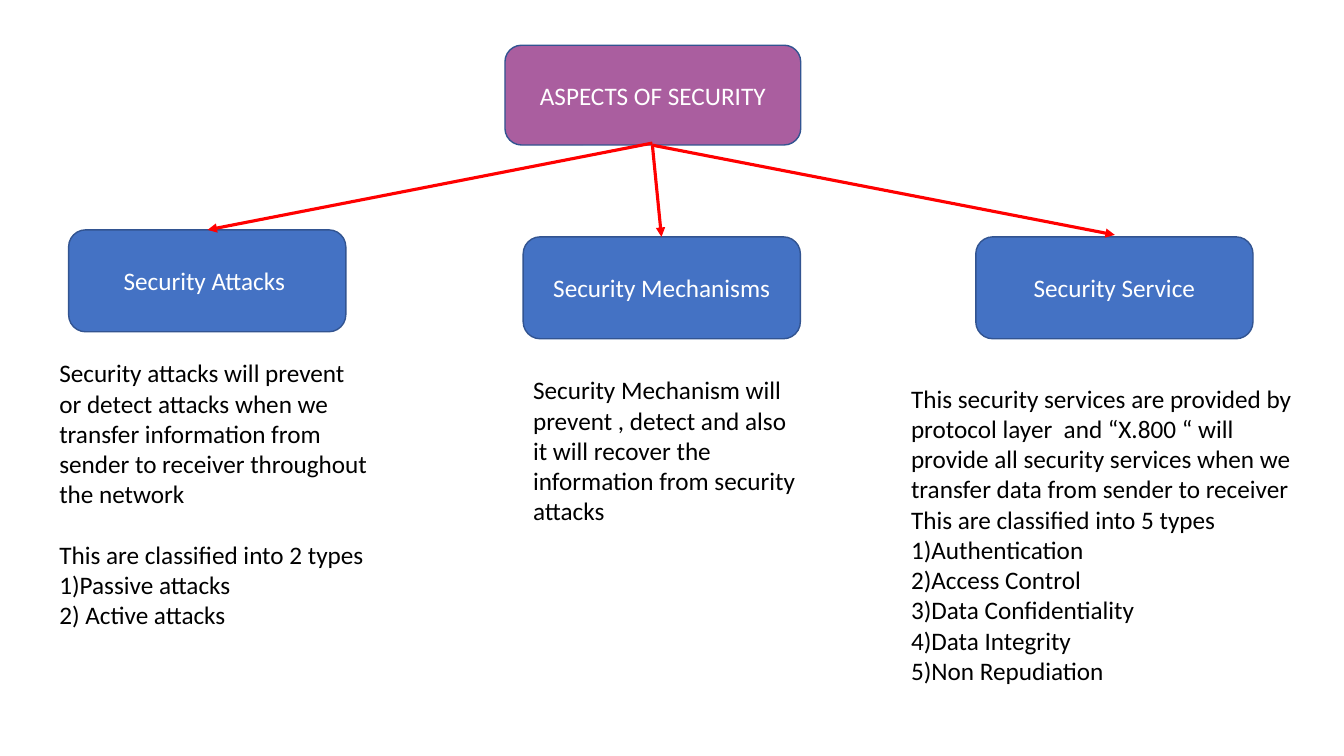
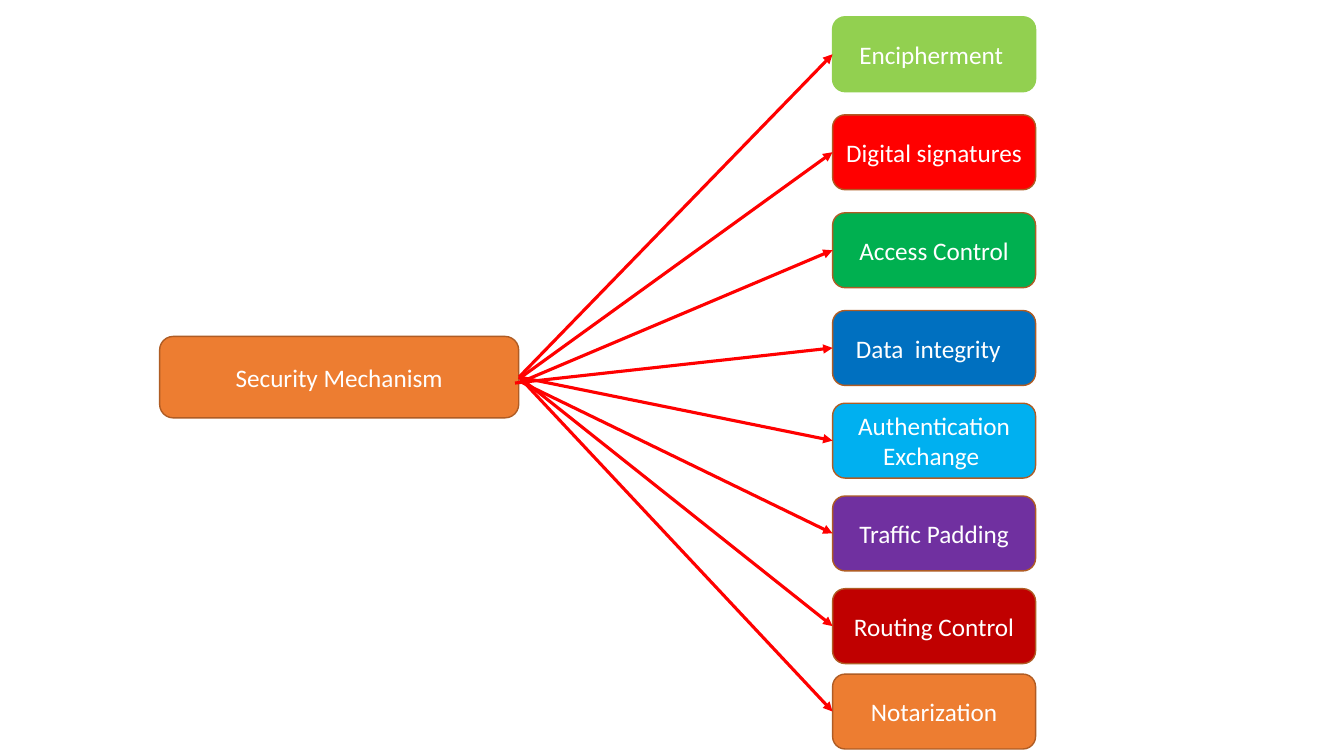
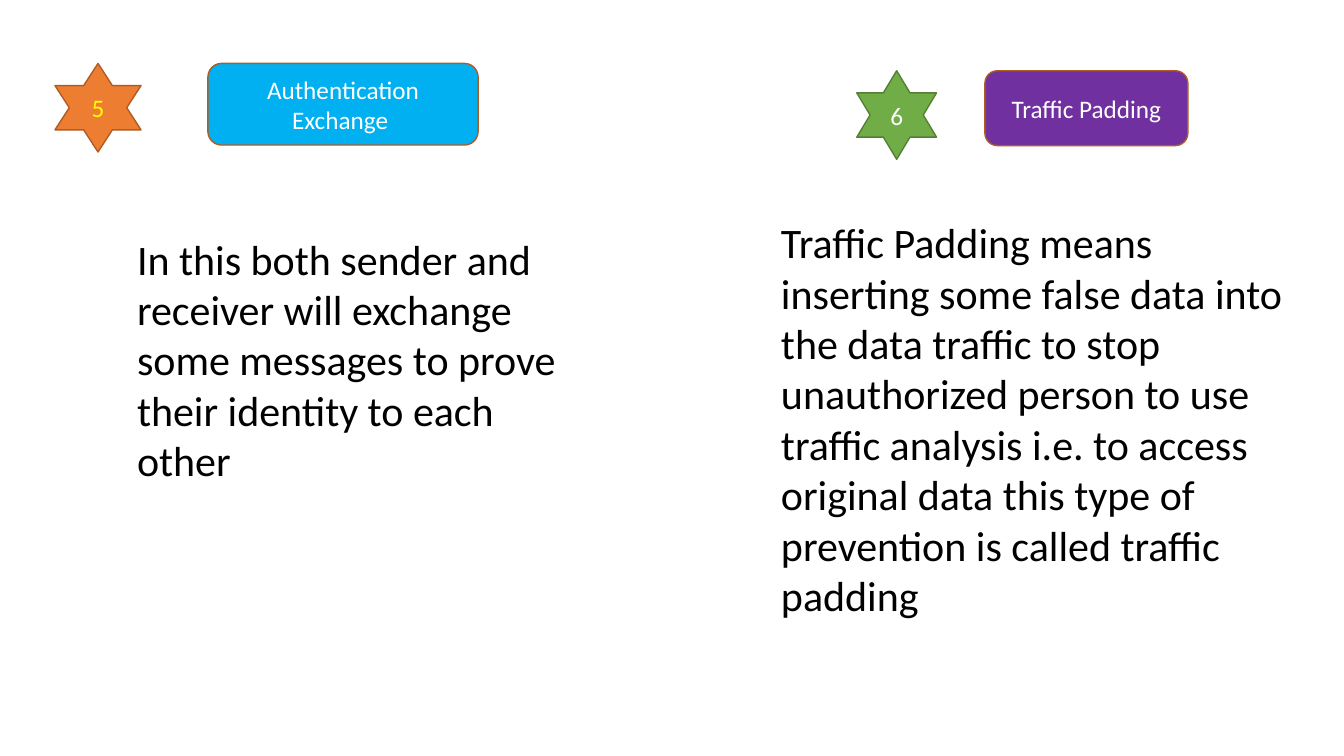
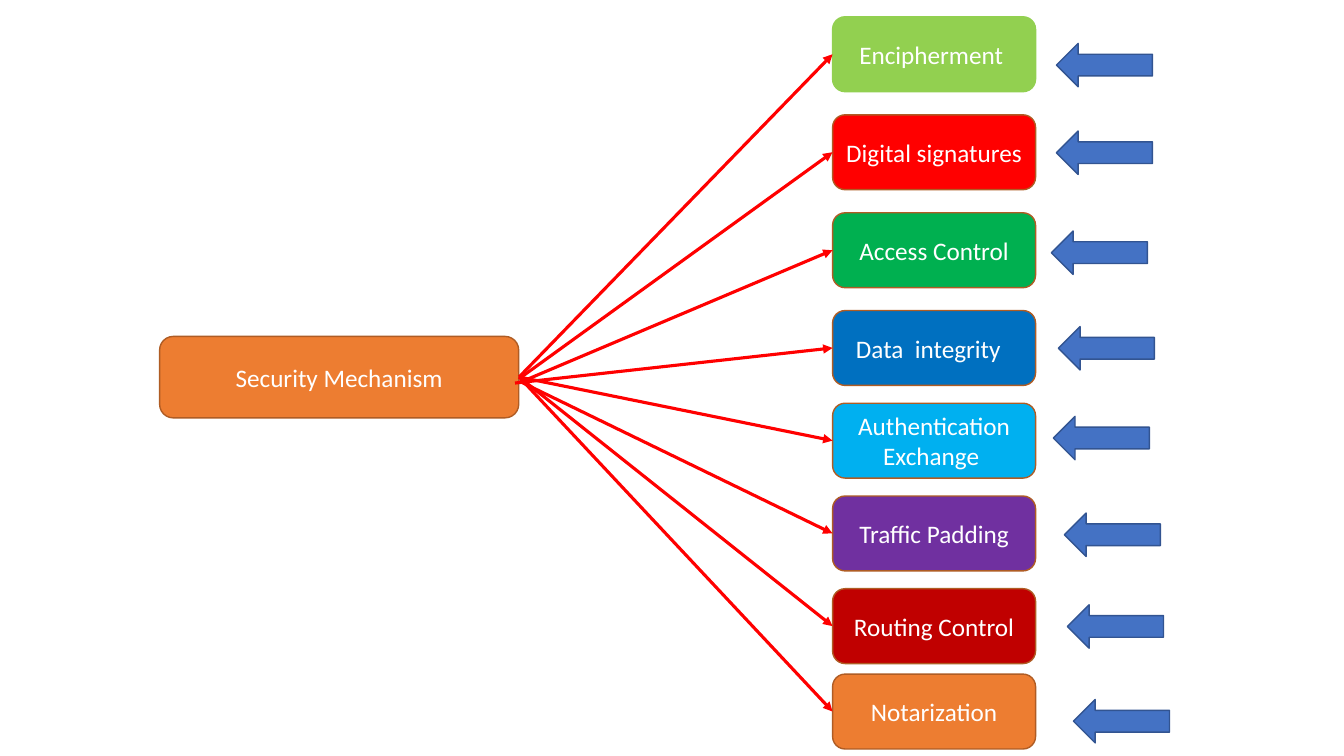
from pptx import Presentation
from pptx.dml.color import RGBColor
from pptx.enum.shapes import MSO_CONNECTOR, MSO_SHAPE
from pptx.enum.text import MSO_ANCHOR, PP_ALIGN
from pptx.oxml.ns import qn
from pptx.util import Pt
from lxml.etree import SubElement

WHITE = RGBColor(0xFF, 0xFF, 0xFF)
BLACK = RGBColor(0x00, 0x00, 0x00)
RED = RGBColor(0xFF, 0x00, 0x00)
PLUM = RGBColor(0xAA, 0x5E, 0x9F)
BLUE = RGBColor(0x44, 0x72, 0xC4)
NAVY = RGBColor(0x32, 0x54, 0x91)
ORANGE = RGBColor(0xED, 0x7D, 0x31)
RUST = RGBColor(0xAF, 0x5C, 0x24)
LIME = RGBColor(0x92, 0xD0, 0x50)
GREEN = RGBColor(0x00, 0xB0, 0x50)
COBALT = RGBColor(0x00, 0x70, 0xC0)
SKY = RGBColor(0x00, 0xB0, 0xF0)
PURPLE = RGBColor(0x70, 0x30, 0xA0)
CRIMSON = RGBColor(0xC0, 0x00, 0x00)
LEAF = RGBColor(0x70, 0xAD, 0x47)
MOSS = RGBColor(0x53, 0x80, 0x35)
YELLOW = RGBColor(0xFF, 0xFF, 0x00)

FONT = "Calibri"
ROUND = MSO_SHAPE.FLOWCHART_ALTERNATE_PROCESS
STAR = MSO_SHAPE.STAR_6_POINT
ARROW = MSO_SHAPE.LEFT_ARROW

PADDING = "Traffic Padding"
EXCHANGE = "Authentication Exchange "

ITEM_LEFT, ITEM_WIDTH, ITEM_HEIGHT = 594.7, 145, 53.5
ITEMS = [
    ("Encipherment ", LIME, LIME, 12, (370.8, 269.3)),
    ("Digital signatures ", RED, RUST, 82, (371.5, 270)),
    ("Access Control", GREEN, RUST, 152, (373.7, 272.2)),
    ("Data  integrity  ", COBALT, RUST, 221.8, (367.9, 273.6)),
    (EXCHANGE, SKY, RUST, 288, (370.8, 269.3)),
    (PADDING, PURPLE, RUST, 354.3, (370.8, 272.2)),
    ("Routing Control", CRIMSON, RUST, 420.5, (370.8, 269.3)),
    ("Notarization", ORANGE, RUST, 481.5, (370.8, 269.3)),
]
MARKS = [
    (754.6, 31), (754.6, 93.6), (751, 165), (756, 233.3),
    (752.4, 297.4), (760.3, 366.5), (762.5, 432), (766.8, 499.7),
]

ASPECTS = [
    ("Security Attacks ", (49, 164.2), (148.3, 164.2), (466, 102.2),
     (35.3, 252, 236, 204),
     ["Security attacks will prevent or detect attacks when we transfer "
      "information from sender to receiver throughout the network",
      "This are classified into 2 types",
      "1)Passive attacks",
      "2) Active attacks"]),
    ("Security Mechanisms", (373.7, 169.2), (472.5, 169.2), (466, 103.7),
     (373.7, 264.2, 203, 117),
     ["Security Mechanism will prevent , detect and also it will recover "
      "the information from security attacks"]),
    ("Security Service", (697, 169.2), (796.3, 167.8), (466, 103.7),
     (643.7, 270, 300.2, 225.4),
     ["This security services are provided by protocol layer  and “X.800 “ "
      "will provide all security services when we transfer data from sender "
      "to receiver",
      "This are classified into 5 types",
      "1)Authentication",
      "2)Access Control",
      "3)Data Confidentiality",
      "4)Data Integrity",
      "5)Non Repudiation"]),
]


def style(frame, size, ink, align):
    for para in frame.paragraphs:
        para.alignment = align
        for run in para.runs:
            run.font.name = FONT
            run.font.size = Pt(size)
            run.font.color.rgb = ink


def add_block(slide, kind, place, fill, edge, text="", ink=WHITE):
    block = slide.shapes.add_shape(kind, *map(Pt, place))
    block.shadow.inherit = False
    block.fill.solid()
    block.fill.fore_color.rgb = fill
    block.line.color.rgb = edge
    block.line.width = Pt(1)
    if text:
        frame = block.text_frame
        frame.text = text
        frame.vertical_anchor = MSO_ANCHOR.MIDDLE
        style(frame, 18, ink, PP_ALIGN.CENTER)


def add_text(slide, place, lines, size):
    frame = slide.shapes.add_textbox(*map(Pt, place)).text_frame
    frame.word_wrap = True
    frame.text = "\n".join(lines)
    style(frame, size, BLACK, PP_ALIGN.LEFT)
    return frame


def add_arrow(slide, start, end):
    line = slide.shapes.add_connector(
        MSO_CONNECTOR.STRAIGHT, *map(Pt, start + end))
    line.line.color.rgb = RED
    line.line.width = Pt(2.25)
    props = line._element.spPr
    SubElement(props.find(qn("a:ln")), qn("a:tailEnd"), type="triangle")
    SubElement(props, qn("a:effectLst"))


def new_slide(deck):
    return deck.slides.add_slide(deck.slide_layouts[6])


def draw_aspects(deck):
    slide = new_slide(deck)
    add_block(slide, ROUND, (360.7, 32.3, 211.3, 71.3), PLUM, NAVY,
              "ASPECTS OF SECURITY")
    frames = []
    for name, corner, end, start, place, lines in ASPECTS:
        add_block(slide, ROUND, corner + (198, 72.8), BLUE, NAVY, name)
        add_arrow(slide, start, end)
        frames.append(add_text(slide, place, lines, 18))
    frames[0].paragraphs[1].space_before = Pt(21.6)


def draw_fan(deck):
    slide = new_slide(deck)
    add_block(slide, ROUND, (114, 240.3, 256.5, 58.2), ORANGE, RUST,
              "Security Mechanism")
    for name, fill, edge, top, start in ITEMS:
        add_block(slide, ROUND, (ITEM_LEFT, top, ITEM_WIDTH, ITEM_HEIGHT),
                  fill, edge, name)
        add_arrow(slide, start, (ITEM_LEFT, top + ITEM_HEIGHT / 2))
    return slide


def draw_details(deck):
    slide = new_slide(deck)
    add_block(slide, STAR, (39.3, 45.3, 61.5, 63.3), ORANGE, RUST,
              "5", YELLOW)
    add_block(slide, ROUND, (148.5, 45.3, 193, 58.3), SKY, RUST, EXCHANGE)
    add_text(slide, (90.8, 163, 330.5, 225.4),
             ["In this both sender and receiver will exchange some messages "
              "to prove their identity to each other"], 30)
    add_block(slide, STAR, (612, 50.5, 57, 63.3), LEAF, MOSS, "6")
    add_block(slide, ROUND, (703.5, 50.5, ITEM_WIDTH, ITEM_HEIGHT),
              PURPLE, RUST, PADDING)
    add_text(slide, (550.8, 151.2, 388.8, 298),
             ["Traffic Padding means inserting some false data into the data "
              "traffic to stop unauthorized person to use traffic analysis "
              "i.e. to access original data this type of prevention is called "
              "traffic padding"], 30)


def draw_marks(slide):
    for corner in MARKS:
        add_block(slide, ARROW, corner + (68.6, 31), BLUE, NAVY)


def main():
    deck = Presentation()
    deck.slide_width, deck.slide_height = Pt(960), Pt(540)
    draw_aspects(deck)
    draw_fan(deck)
    draw_details(deck)
    draw_marks(draw_fan(deck))
    deck.save("out.pptx")


if __name__ == "__main__":
    main()
